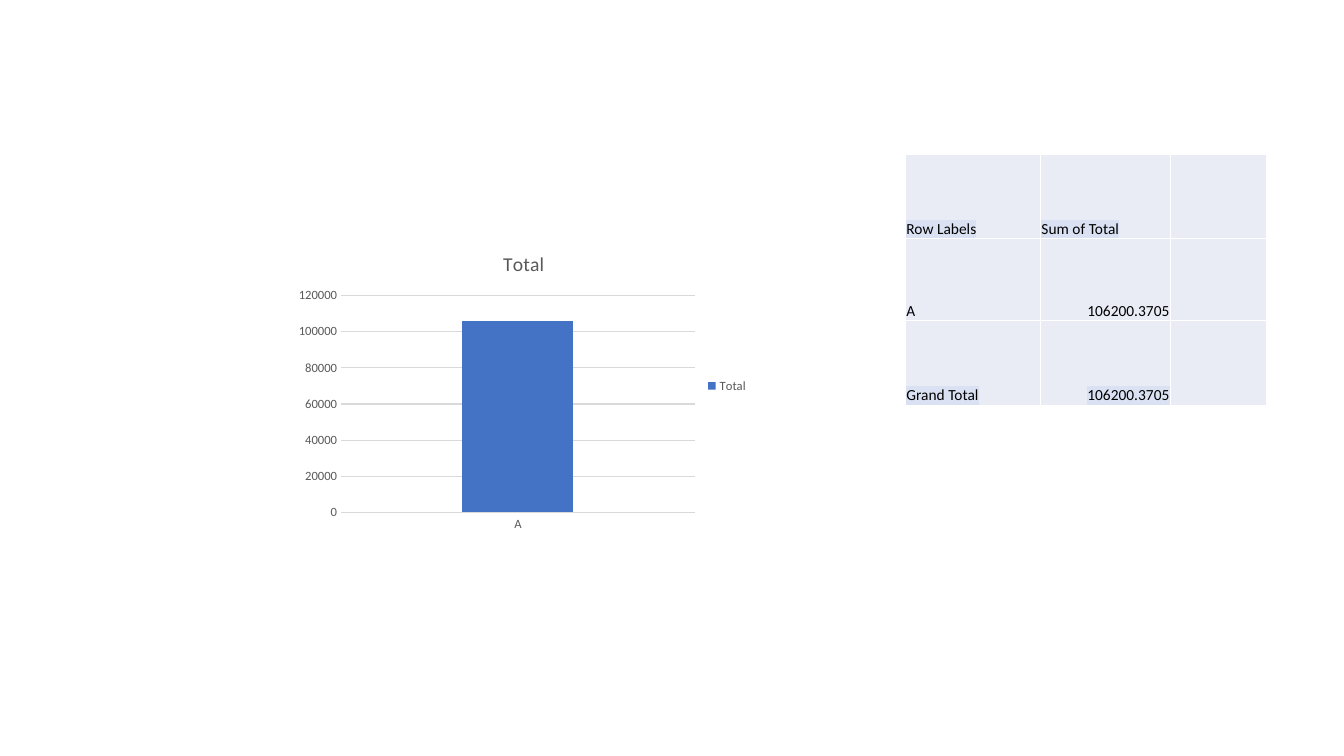
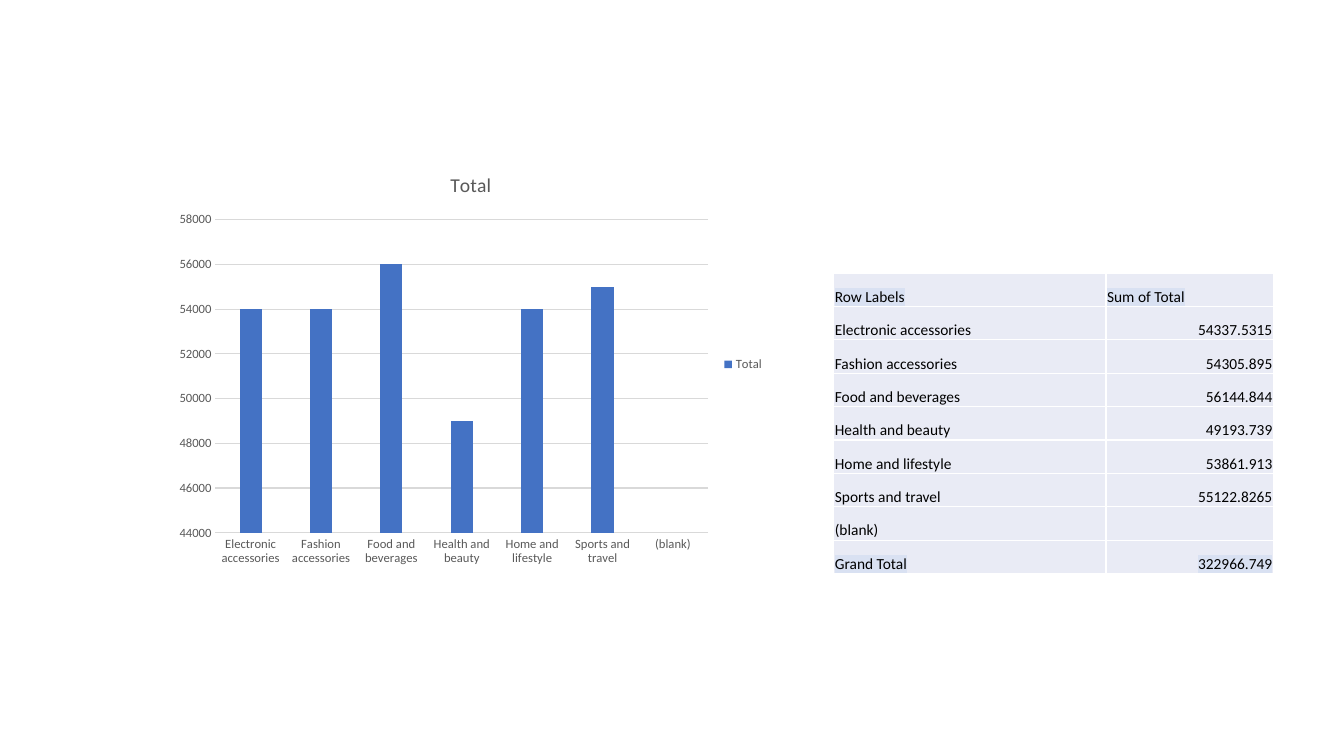
import lxml.etree
import pptx
import pptx.chart.data
import pptx.dml.color
import pptx.enum.chart
import pptx.enum.text
import pptx.oxml.ns
import pptx.util

Inches = pptx.util.Inches
Pt = pptx.util.Pt
qn = pptx.oxml.ns.qn

COLORS = {
    "text": "000000",
    "label": "595959",
    "grid": "D9D9D9",
    "bar": "4472C4",
    "cell": "E9EBF5",
    "highlight": "D9E1F2",
    "border": "FFFFFF",
}
FONT = "Calibri"
HEADER = ("Row Labels", "Sum of Total")
CELL_FORMAT = {
    "margin_left": Inches(0.01),
    "margin_right": Inches(0.01),
    "margin_top": Inches(0.01),
    "margin_bottom": 0,
    "vertical_anchor": pptx.enum.text.MSO_ANCHOR.BOTTOM,
}
AXIS_FORMAT = {
    "major_tick_mark": pptx.enum.chart.XL_TICK_MARK.NONE,
    "minor_tick_mark": pptx.enum.chart.XL_TICK_MARK.NONE,
}

SUMMARIES = [
    {
        "rows": [("A", "106200.3705")],
        "total": "106200.3705",
        "chart_box": (2.87, 2.33, 4.65, 3),
        "scale": {"minimum_scale": 0, "maximum_scale": 120000, "major_unit": 20000},
        "table_at": (8.98, 1.53),
        "widths": (1.34, 1.29, 0.95),
        "heights": (0.84, 0.81, 0.84),
    },
    {
        "rows": [
            ("Electronic accessories", "54337.5315"),
            ("Fashion accessories", "54305.895"),
            ("Food and beverages", "56144.844"),
            ("Health and beauty", "49193.739"),
            ("Home and lifestyle", "53861.913"),
            ("Sports and travel", "55122.8265"),
            ("(blank)", ""),
        ],
        "total": "322966.749",
        "chart_box": (1.66, 1.53, 6.02, 4.17),
        "scale": {"minimum_scale": 44000, "maximum_scale": 58000, "major_unit": 2000},
        "table_at": (8.27, 2.71),
        "widths": (2.7, 1.66),
        "heights": (2.98 / 9,) * 9,
    },
]


def rgb(name):
    return pptx.dml.color.RGBColor.from_string(COLORS[name])


def set_attributes(obj, values):
    for name, value in values.items():
        setattr(obj, name, value)


def set_font(font, size, color):
    set_attributes(font, {"name": FONT, "size": Pt(size)})
    font.color.rgb = rgb(color)


def set_line(line, color, width):
    line.color.rgb = rgb(color)
    line.width = Pt(width)


def add_color(parent, tag, color):
    """Append a DrawingML element that holds one RGB colour."""
    el = lxml.etree.SubElement(parent, qn(tag))
    lxml.etree.SubElement(el, qn("a:srgbClr"), val=COLORS[color])
    return el


def set_borders(cell):
    tcPr = cell._tc.get_or_add_tcPr()
    for i, side in enumerate(("a:lnL", "a:lnR", "a:lnT", "a:lnB")):
        ln = lxml.etree.Element(qn(side), w=str(Pt(1)))
        add_color(ln, "a:solidFill", "border")
        tcPr.insert(i, ln)


def highlight(r):
    rPr = r._r.get_or_add_rPr()
    mark = add_color(rPr, "a:highlight", "highlight")
    rPr.find(qn("a:solidFill")).addnext(mark)


def fill_cell(cell, text, marked, align):
    set_attributes(cell, CELL_FORMAT)
    cell.fill.solid()
    cell.fill.fore_color.rgb = rgb("cell")
    set_borders(cell)
    if text:
        p = cell.text_frame.paragraphs[0]
        p.alignment = align
        r = p.add_run()
        r.text = text
        set_font(r.font, 11, "text")
        if marked:
            highlight(r)


def add_summary_table(s, summary):
    """Add the label and total columns; header and last row are highlighted."""
    rows = [HEADER, *summary["rows"], ("Grand Total", summary["total"])]
    widths, heights = summary["widths"], summary["heights"]
    box = (*summary["table_at"], sum(widths), sum(heights))
    table = s.shapes.add_table(len(rows), len(widths), *map(Inches, box)).table
    set_attributes(table, {"first_row": False, "horz_banding": False})
    for column, width in zip(table.columns, widths):
        column.width = Inches(width)
    for row, height in zip(table.rows, heights):
        row.height = Inches(height)
    last = len(rows) - 1
    for i, texts in enumerate(rows):
        for j in range(len(widths)):
            is_number = i > 0 and j == 1
            align = pptx.enum.text.PP_ALIGN.RIGHT if is_number else pptx.enum.text.PP_ALIGN.LEFT
            text = texts[j] if j < len(texts) else ""
            fill_cell(table.cell(i, j), text, i in (0, last), align)


def format_axes(chart, scale):
    for axis in (chart.category_axis, chart.value_axis):
        set_attributes(axis, AXIS_FORMAT)
        set_font(axis.tick_labels.font, 9, "label")
    set_line(chart.category_axis.format.line, "grid", 0.75)
    value_axis = chart.value_axis
    set_attributes(value_axis, scale)
    value_axis.format.line.fill.background()
    set_line(value_axis.major_gridlines.format.line, "grid", 0.75)


def add_total_chart(s, summary):
    """Add the column chart, with values rounded to thousands."""
    data = pptx.chart.data.CategoryChartData()
    data.categories = [label for label, _ in summary["rows"]]
    data.add_series(
        "Total", [round(float(v) / 1000) * 1000 if v else None for _, v in summary["rows"]])
    chart = s.shapes.add_chart(
        pptx.enum.chart.XL_CHART_TYPE.COLUMN_CLUSTERED,
        *map(Inches, summary["chart_box"]), data).chart
    set_font(chart.font, 10, "text")

    tf = chart.chart_title.text_frame
    tf.text = "Total"
    font = tf.paragraphs[0].runs[0].font
    set_font(font, 14, "label")
    font.bold = False

    chart.has_legend = True
    set_attributes(chart.legend, {
        "position": pptx.enum.chart.XL_LEGEND_POSITION.RIGHT,
        "include_in_layout": False,
    })
    set_font(chart.legend.font, 9, "label")

    plot = chart.plots[0]
    set_attributes(plot, {"gap_width": 219, "overlap": -27, "vary_by_categories": False})
    fill = plot.series[0].format.fill
    fill.solid()
    fill.fore_color.rgb = rgb("bar")
    format_axes(chart, summary["scale"])


def main():
    prs = pptx.Presentation()
    set_attributes(prs, {"slide_width": Inches(13.33), "slide_height": Inches(7.5)})
    blank = prs.slide_layouts[6]
    for summary in SUMMARIES:
        s = prs.slides.add_slide(blank)
        add_total_chart(s, summary)
        add_summary_table(s, summary)
    prs.save("out.pptx")


if __name__ == "__main__":
    main()
